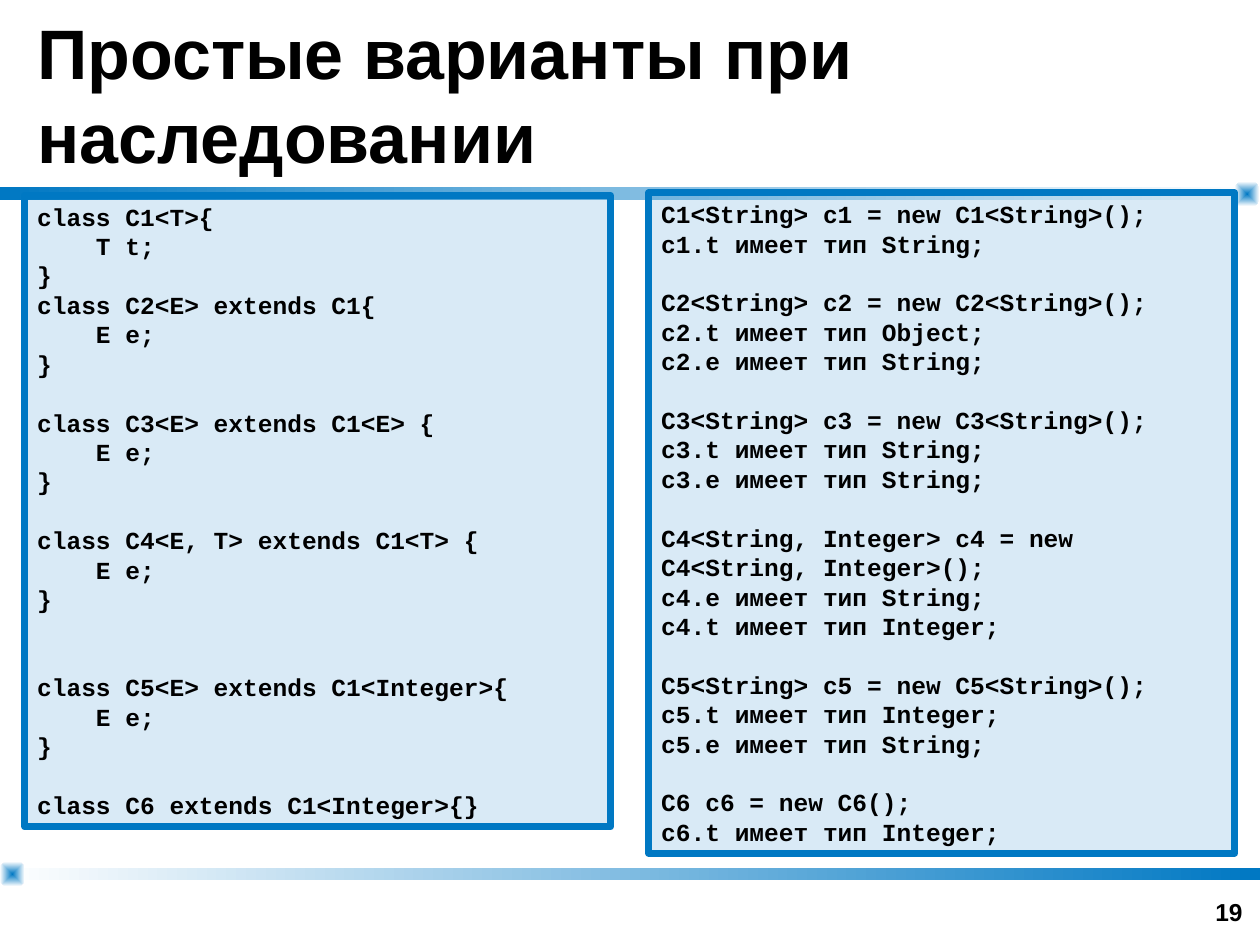
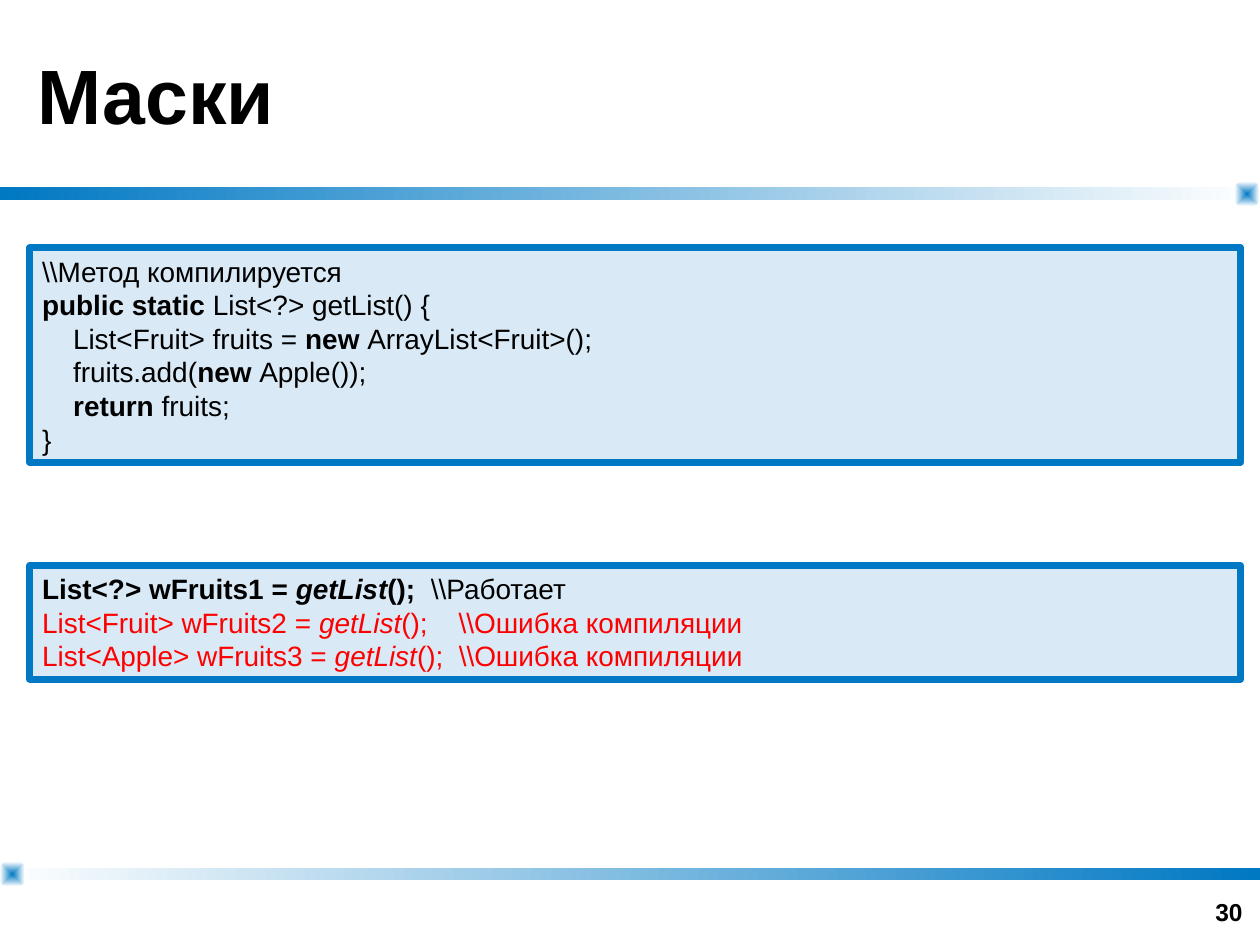
from dataclasses import dataclass

from lxml import etree
from pptx import Presentation
from pptx import util as u
from pptx.dml.color import RGBColor
from pptx.enum import shapes, text
from pptx.oxml import ns


@dataclass(frozen=True)
class Theme:
    blue: RGBColor = RGBColor(0x00, 0x78, 0xC3)
    white: RGBColor = RGBColor(0xFF, 0xFF, 0xFF)
    ink: RGBColor = RGBColor(0x00, 0x00, 0x00)
    error: RGBColor = RGBColor(0xFF, 0x00, 0x00)
    sans: str = "Arial"
    mono: str = "Courier New"
    title_size: int = 44
    long_title_size: int = 40
    snippet_size: int = 16
    code_size: int = 14
    number_size: int = 14
    border: int = 4
    tint: int = 15  # panel opacity, percent
    leading: float = 1.2


THEME = Theme()

CLASSES = """class C1<T>{
    T t;
}
class C2<E> extends C1{
    E e;
}

class C3<E> extends C1<E> {
    E e;
}

class C4<E, T> extends C1<T> {
    E e;
}


class C5<E> extends C1<Integer>{
    E e;
}

class C6 extends C1<Integer>{}"""

USES = """C1<String> c1 = new C1<String>();
c1.t имеет тип String;

C2<String> c2 = new C2<String>();
c2.t имеет тип Object;
c2.e имеет тип String;

C3<String> c3 = new C3<String>();
c3.t имеет тип String;
c3.e имеет тип String;

C4<String, Integer> c4 = new C4<String, Integer>();
c4.e имеет тип String;
c4.t имеет тип Integer;

C5<String> c5 = new C5<String>();
c5.t имеет тип Integer;
c5.e имеет тип String;

C6 c6 = new C6();
c6.t имеет тип Integer;"""

# Each line is a list of (words, marks): b bold, i italic, e error colour
METHOD = [
    [("\\\\Метод компилируется", "")],
    [("public static ", "b"), ("List<?> getList() {", "")],
    [("    List<Fruit> fruits = ", ""), ("new ", "b"), ("ArrayList<Fruit>();", "")],
    [("    fruits.add(", ""), ("new ", "b"), ("Apple());", "")],
    [("    ", ""), ("return ", "b"), ("fruits;", "")],
    [("}", "")],
]

CALLS = [
    [("List<?> wFruits1 = ", "b"), ("getList", "bi"), ("();  ", "b"), ("\\\\Работает", "")],
    [("List<Fruit> wFruits2 = ", "e"), ("getList", "ei"),
     ("();    \\\\Ошибка компиляции", "e")],
    [("List<Apple> wFruits3 = ", "e"), ("getList", "ei"),
     ("();  \\\\Ошибка компиляции", "e")],
]


def bold_lines(code):
    return [[(line, "b")] if line else [] for line in code.splitlines()]


class Deck:
    """Holds the theme and the current slide."""

    def __init__(self, theme):
        self.theme = theme
        self.prs = Presentation()
        self.prs.slide_width, self.prs.slide_height = u.Cm(25.4), u.Cm(19.05)
        self.layout = self.prs.slide_layouts[5]
        self.slide = None

    def add_slide(self, heading, size, number):
        first = self.slide is None
        self.slide = self.prs.slides.add_slide(self.layout)
        if first:
            self.bands()
        self.title(heading, size)
        self.page_number(number)

    def bands(self):
        """Gradient bars and their end squares, shared through the layout."""
        blue, white = self.theme.blue, self.theme.white
        bar, square = shapes.MSO_SHAPE.RECTANGLE, shapes.MSO_SHAPE.ROUNDED_RECTANGLE
        self.gradient(bar, 0, 3.78, 25.4, 0.25, blue, white)
        self.gradient(bar, 0, 17.5, 25.4, 0.25, white, blue)
        for left, top in ((24.89, 3.66), (0, 17.37)):
            glow = self.gradient(square, left, top, 0.5, 0.5, blue, white)
            glow.adjustments[0] = 0.32
            grad = glow.element.spPr.find(ns.qn("a:gradFill"))
            grad.remove(grad.find(ns.qn("a:lin")))
            path = etree.SubElement(grad, ns.qn("a:path"), path="rect")
            etree.SubElement(path, ns.qn("a:fillToRect"),
                             **dict.fromkeys("ltrb", "50000"))

    def gradient(self, kind, left, top, width, height, start, end):
        band = self.slide.shapes.add_shape(
            kind, u.Cm(left), u.Cm(top), u.Cm(width), u.Cm(height))
        band.shadow.inherit = False
        band.line.fill.background()
        band.fill.gradient()
        band.fill.gradient_angle = 0
        for stop, colour in zip(band.fill.gradient_stops, (start, end)):
            stop.color.rgb = colour
        self.layout.shapes.element.append(band.element)
        return band

    def font(self, font, name, size, bold=False, italic=False, colour=None):
        font.name, font.size = name, u.Pt(size)
        font.bold, font.italic = bold, italic
        font.color.rgb = colour or self.theme.ink

    def title(self, heading, size):
        title = self.slide.shapes.title
        title.left, title.top = u.Cm(0.5), u.Cm(0)
        title.width, title.height = u.Cm(24.4), u.Cm(3.78)
        frame = title.text_frame
        frame.text = heading
        frame.auto_size = text.MSO_AUTO_SIZE.NONE
        frame.vertical_anchor = text.MSO_ANCHOR.MIDDLE
        line = frame.paragraphs[0]
        line.alignment = text.PP_ALIGN.LEFT
        line.line_spacing = u.Pt(size * self.theme.leading)
        self.font(line.runs[0].font, self.theme.sans, size, bold=True)

    def page_number(self, number):
        box = self.slide.shapes.add_textbox(
            u.Cm(19.38), u.Cm(17.53), u.Cm(5.92), u.Cm(1.27))
        frame = box.text_frame
        frame.word_wrap = True
        frame.vertical_anchor = text.MSO_ANCHOR.BOTTOM
        frame.text = str(number)
        line = frame.paragraphs[0]
        line.alignment = text.PP_ALIGN.RIGHT
        self.font(line.runs[0].font, self.theme.sans, self.theme.number_size, bold=True)

    def code_panel(self, left, top, width, height, lines, name, size):
        """Tinted, framed code; empty lines become space before the next one."""
        theme = self.theme
        panel = self.slide.shapes.add_shape(
            shapes.MSO_SHAPE.RECTANGLE, u.Cm(left), u.Cm(top), u.Cm(width), u.Cm(height))
        panel.shadow.inherit = False
        panel.fill.solid()
        panel.fill.fore_color.rgb = theme.blue
        tint = panel.element.spPr.find(ns.qn("a:solidFill"))[0]
        etree.SubElement(tint, ns.qn("a:alpha"), val=str(theme.tint * 1000))
        panel.line.color.rgb = theme.blue
        panel.line.width = u.Pt(theme.border)

        frame = panel.text_frame
        frame.word_wrap = True
        frame.auto_size = text.MSO_AUTO_SIZE.SHAPE_TO_FIT_TEXT
        frame.vertical_anchor = text.MSO_ANCHOR.TOP
        pitch = size * theme.leading
        blanks = 0
        for index, pieces in enumerate(lines):
            if not pieces:
                blanks += 1
                continue
            line = frame.add_paragraph() if index else frame.paragraphs[0]
            line.alignment = text.PP_ALIGN.LEFT
            line.line_spacing = u.Pt(pitch)
            if blanks:
                line.space_before = u.Pt(blanks * pitch)
                blanks = 0
            for words, marks in pieces:
                run = line.add_run()
                run.text = words
                self.font(run.font, name, size, "b" in marks, "i" in marks,
                          theme.error if "e" in marks else theme.ink)


def main():
    deck = Deck(THEME)

    # Inheritance of generic classes: declarations and resulting types
    deck.add_slide("Простые варианты при наследовании", THEME.long_title_size, 19)
    for left, top, height, code in ((0.5, 3.94, 12.73, CLASSES),
                                    (13.08, 3.89, 13.31, USES)):
        deck.code_panel(left, top, 11.81, height, bold_lines(code),
                        THEME.mono, THEME.code_size)

    # Wildcards: the method and its calls
    deck.add_slide("Маски", THEME.title_size, 30)
    for top, height, lines in ((5, 4.32, METHOD), (11.4, 2.29, CALLS)):
        deck.code_panel(0.6, top, 24.41, height, lines,
                        THEME.sans, THEME.snippet_size)

    deck.prs.save("out.pptx")


if __name__ == "__main__":
    main()
